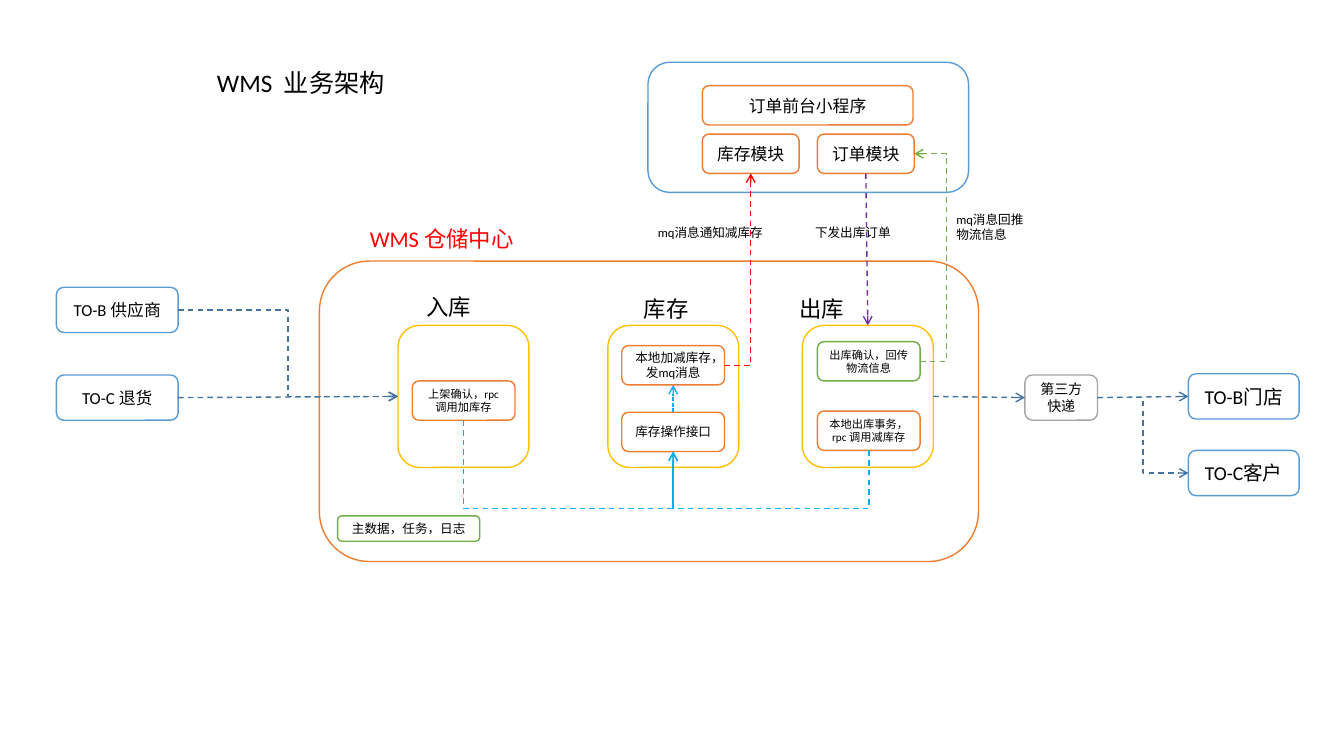
from dataclasses import dataclass

from pptx import Presentation
from pptx.dml.color import RGBColor
from pptx.enum.dml import MSO_LINE
from pptx.enum.shapes import MSO_CONNECTOR as CXN, MSO_SHAPE
from pptx.enum.text import MSO_ANCHOR, MSO_AUTO_SIZE, PP_ALIGN
from pptx.oxml.ns import qn
from pptx.util import Cm, Pt
from lxml.etree import SubElement

TOP, LEFT, BOTTOM, RIGHT = range(4)


@dataclass(frozen=True)
class Theme:
    font: str = "Calibri"
    black: str = "000000"
    white: str = "FFFFFF"
    red: str = "FF0000"
    orange: str = "ED7D31"
    yellow: str = "FFC000"
    blue: str = "5B9BD5"
    steel: str = "43739E"
    sky: str = "00B0F0"
    green: str = "70AD47"
    gray: str = "A5A5A5"
    purple: str = "7030A0"
    title: int = 18
    heading: int = 16
    large: int = 14
    body: int = 12
    medium: int = 10
    small: int = 9
    tiny: int = 8
    line: int = 1


def rgb(value):
    return RGBColor.from_string(value)


def apply(target, values):
    for name, value in values.items():
        setattr(target, name, value)


class Diagram:
    def __init__(self, prs, theme):
        self.theme = theme
        self.slide = prs.slides.add_slide(prs.slide_layouts[5])
        self.shapes = self.slide.shapes

    def set_text(self, sp, text, size, color, align, frame):
        tf = sp.text_frame
        apply(tf, {"word_wrap": True, **frame})
        p = tf.paragraphs[0]
        p.alignment = align
        r = p.add_run()
        r.text = text
        apply(r.font, {"name": self.theme.font, "size": Pt(size), "bold": False})
        r.font.color.rgb = rgb(color)

    def title(self, text, x, y, w, h):
        sp = self.shapes.title
        apply(sp, {"left": Cm(x), "top": Cm(y), "width": Cm(w), "height": Cm(h)})
        self.set_text(sp, text, self.theme.title, self.theme.black, PP_ALIGN.CENTER,
                      {"vertical_anchor": MSO_ANCHOR.TOP,
                       "auto_size": MSO_AUTO_SIZE.SHAPE_TO_FIT_TEXT})

    def box(self, x, y, w, h, color, text="", size=None):
        sp = self.shapes.add_shape(MSO_SHAPE.ROUNDED_RECTANGLE,
                                   Cm(x), Cm(y), Cm(w), Cm(h))
        sp.shadow.inherit = False
        sp.fill.solid()
        sp.fill.fore_color.rgb = rgb(self.theme.white)
        sp.line.color.rgb = rgb(color)
        sp.line.width = Pt(self.theme.line)
        if text:
            self.set_text(sp, text, size, self.theme.black, PP_ALIGN.CENTER,
                          {"vertical_anchor": MSO_ANCHOR.MIDDLE})
        return sp

    def label(self, x, y, w, h, text, size, color=None):
        sp = self.shapes.add_textbox(Cm(x), Cm(y), Cm(w), Cm(h))
        self.set_text(sp, text, size, color or self.theme.black, PP_ALIGN.LEFT,
                      {"auto_size": MSO_AUTO_SIZE.SHAPE_TO_FIT_TEXT})

    def arrow(self, start, end, color, kind=CXN.STRAIGHT, dash=MSO_LINE.DASH):
        c = self.shapes.add_connector(kind, 0, 0, 0, 0)
        c.begin_connect(*start)
        c.end_connect(*end)
        apply(c.line, {"width": Pt(self.theme.line), "dash_style": dash})
        c.line.color.rgb = rgb(color)
        props = c._element.spPr
        SubElement(props.find(qn("a:ln")), qn("a:tailEnd"), type="arrow")
        SubElement(props, qn("a:effectLst"))
        return c

    def corner(self, start, end, color):
        c = self.arrow(start, end, color, CXN.ELBOW)
        c._element.spPr.find(qn("a:prstGeom")).set("prst", "bentConnector2")

    def elbow(self, start, end, color, bend=None, vertical=False):
        c = self.arrow(start, end, color, CXN.ELBOW)
        dx, dy = c.end_x - c.begin_x, c.end_y - c.begin_y
        props = c._element.spPr
        if vertical:
            mid_x, mid_y = c.begin_x + dx // 2, c.begin_y + dy // 2
            w, h = abs(dy), abs(dx)
            apply(c, {"left": mid_x - w // 2, "top": mid_y - h // 2,
                      "width": w, "height": h})
            xfrm = props.find(qn("a:xfrm"))
            for name, value in {"rot": 5400000, "flipH": int(dy < 0),
                                "flipV": int(dx > 0)}.items():
                xfrm.set(name, str(value))
        if bend is not None:
            ratio = round(Cm(bend) / (dy if vertical else dx) * 100000)
            guides = props.find(qn("a:prstGeom")).find(qn("a:avLst"))
            SubElement(guides, qn("a:gd"), name="adj1", fmla=f"val {ratio}")


def main():
    prs = Presentation()
    prs.slide_width, prs.slide_height = Cm(33.87), Cm(19.05)
    t = Theme()
    d = Diagram(prs, t)
    d.title("WMS  业务架构", 4.52, 1.57, 6.12, 1.02)

    d.box(8.05, 6.58, 16.61, 7.57, t.orange)
    d.box(16.33, 1.57, 8.08, 3.28, t.blue)
    inbound, stock, outbound = [d.box(x, 8.2, 3.3, 3.58, t.yellow)
                                for x in (10.03, 15.32, 20.22)]
    supplier, returns = [d.box(1.42, y, 3.07, 1.14, t.blue, text, t.body)
                         for y, text in ((7.24, "TO-B 供应商"), (9.45, "TO-C 退货"))]
    store, customer = [d.box(29.95, y, 2.79, 1.14, t.blue, text, t.large)
                       for y, text in ((9.42, "TO-B门店"), (11.35, "TO-C客户"))]
    courier = d.box(25.83, 9.45, 1.83, 1.14, t.gray, "第三方快递", t.medium)
    d.box(8.51, 13, 3.58, 0.64, t.green, "主数据，任务，日志", t.small)

    d.box(17.7, 2.16, 5.31, 0.99, t.orange, "订单前台小程序", t.body)
    stock_module, order_module = [
        d.box(x, 3.38, 2.44, 0.99, t.orange, text, t.body)
        for x, text in ((17.7, "库存模块"), (20.6, "订单模块"))]

    shelve, change, interface, confirm, ship = [
        d.box(x, y, 2.59, 0.99, color, text, size)
        for x, y, color, text, size in (
            (10.39, 9.6, t.orange, "上架确认，rpc调用加库存", t.tiny),
            (15.67, 8.71, t.orange, "本地加减库存，发mq消息", t.small),
            (15.67, 10.39, t.orange, "库存操作接口", t.small),
            (20.6, 8.61, t.green, "出库确认，回传物流信息", t.tiny),
            (20.6, 10.36, t.orange, "本地出库事务，rpc 调用减库存", t.tiny))]

    for start, end in ((returns, inbound), (courier, store), (outbound, courier)):
        d.arrow((start, RIGHT), (end, LEFT), t.steel)
    for start, end in ((supplier, inbound), (courier, customer)):
        d.elbow((start, RIGHT), (end, LEFT), t.steel)
    d.arrow((order_module, BOTTOM), (outbound, TOP), t.purple)
    d.arrow((interface, TOP), (change, BOTTOM), t.sky, dash=MSO_LINE.SQUARE_DOT)
    d.corner((change, RIGHT), (stock_module, BOTTOM), t.red)
    d.elbow((confirm, RIGHT), (order_module, RIGHT), t.green, bend=0.66)
    d.elbow((ship, BOTTOM), (interface, BOTTOM), t.sky, bend=1.46, vertical=True)
    d.elbow((shelve, BOTTOM), (interface, BOTTOM), t.sky, bend=2.22, vertical=True)

    for x, y, text in ((10.49, 7.26, "入库"), (15.98, 7.32, "库存"),
                       (19.89, 7.32, "出库")):
        d.label(x, y, 1.93, 0.94, text, t.heading)
    for x, y, w, h, text in ((16.33, 5.54, 3.2, 0.64, "mq消息通知减库存"),
                             (20.29, 5.54, 2.46, 0.64, "下发出库订单"),
                             (23.85, 5.21, 2.46, 1.02, "mq消息回推物流信息")):
        d.label(x, y, w, h, text, t.small)
    d.label(9.07, 5.54, 4.75, 0.94, "WMS 仓储中心", t.heading, t.red)

    prs.save("out.pptx")


if __name__ == "__main__":
    main()
